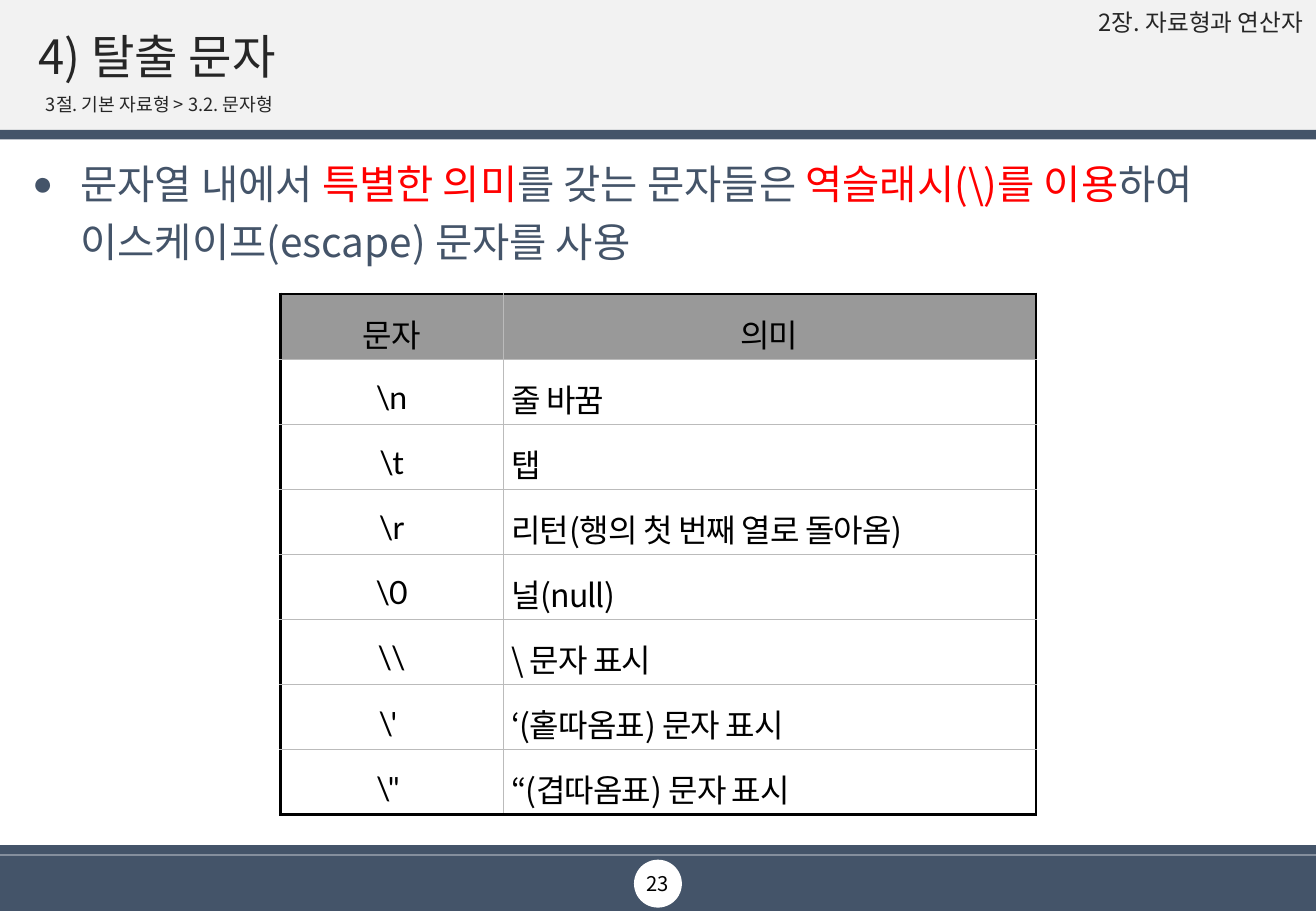
import pptx
import pptx.util
import pptx.dml.color
import pptx.enum.shapes
import pptx.enum.text
import pptx.oxml.ns
import lxml.etree

Pt = pptx.util.Pt
ALIGN = pptx.enum.text.PP_ALIGN
ANCHOR = pptx.enum.text.MSO_ANCHOR
SHAPE = pptx.enum.shapes.MSO_SHAPE

# Content
CHAPTER = "2장. 자료형과 연산자"
TITLE = "4) 탈출 문자"
SECTION = "3절. 기본 자료형 > 3.2. 문자형"
PAGE_NUMBER = "23"
SUMMARY = [
    ("문자열 내에서 ", "slate"),
    ("특별한 의미", "red"),
    ("를 갖는 문자들은 ", "slate"),
    ("역슬래시(\\)를 이용", "red"),
    ("하여 이스케이프(escape) 문자를 사용", "slate"),
]
ESCAPES = [
    ("문자", "의미"),
    ("\\n", "줄 바꿈"),
    ("\\t", "탭"),
    ("\\r", "리턴(행의 첫 번째 열로 돌아옴)"),
    ("\\0", "널(null)"),
    ("\\\\", "\\ 문자 표시"),
    ("\\' ", "‘(홑따옴표) 문자 표시"),
    ("\\\" ", "“(겹따옴표) 문자 표시"),
]

THEME = {
    "font": "Noto Sans CJK KR", "code_font": "Lato", "bullet_font": "Arial",
    "colors": {"slate": "445469", "red": "FF0000", "ink": "262626", "black": "000000",
               "white": "FFFFFF", "pale": "F2F2F2", "header": "999999", "rule": "BBBBBB"},
    "sizes": {"title": 28, "body": 24, "table": 19, "chapter": 14, "number": 12, "section": 10.8},
}

# Layout in points
WIDTH, HEIGHT = 780, 540
HEADER_HEIGHT, STRIP_HEIGHT = 77, 5.6
FOOTER_TOP, FOOTER_STRIP_TOP = 507, 501
DISC = 28.4
TABLE_LEFT, TABLE_TOP = 166.2, 174.2
COLUMN_WIDTHS, ROW_HEIGHT = (131.8, 316.1), 38.6
BULLET_INDENT = 28.4
BANDS = [
    (SHAPE.RECTANGLE, 0, 0, WIDTH, HEADER_HEIGHT, "pale"),
    (SHAPE.RECTANGLE, 0, FOOTER_TOP, WIDTH, HEIGHT - FOOTER_TOP, "slate"),
    (SHAPE.RECTANGLE, 0, FOOTER_STRIP_TOP, WIDTH, STRIP_HEIGHT, "slate"),
    (SHAPE.RECTANGLE, 0, HEADER_HEIGHT, WIDTH, STRIP_HEIGHT, "slate"),
    (SHAPE.OVAL, (WIDTH - DISC) / 2, 509.6, DISC, DISC, "white"),
]


def apply(target, values):
    for name, value in values.items():
        setattr(target, name, value)


def rgb(color):
    return pptx.dml.color.RGBColor.from_string(THEME["colors"][color])


def add_child(parent, tag, **attributes):
    return lxml.etree.SubElement(parent, pptx.oxml.ns.qn(tag), attributes)


def write(frame, runs, size, font=None, **para_format):
    """Fill the first paragraph with (text, color) runs."""
    font = font or THEME["font"]
    para = frame.paragraphs[0]
    apply(para, para_format)
    for text, color in runs:
        span = para.add_run()
        span.text = text
        apply(span.font, {"name": font, "size": Pt(THEME["sizes"][size]), "bold": False})
        span.font.color.rgb = rgb(color)
        add_child(span.font._element, "a:ea", typeface=font)
    return para


def set_frame(box, place, insets=(7.2, 3.6, 7.2, 3.6), anchor=ANCHOR.TOP):
    apply(box, dict(zip(("left", "top", "width", "height"), map(Pt, place))))
    sides = ("margin_left", "margin_top", "margin_right", "margin_bottom")
    apply(box.text_frame, dict(zip(sides, map(Pt, insets))))
    apply(box.text_frame, {"word_wrap": True, "vertical_anchor": anchor,
                           "auto_size": pptx.enum.text.MSO_AUTO_SIZE.NONE})
    return box.text_frame


def add_text(page, place, **frame_format):
    return set_frame(page.shapes.add_textbox(0, 0, 0, 0), place, **frame_format)


def add_bands(page):
    for kind, left, top, width, height, color in BANDS:
        band = page.shapes.add_shape(kind, Pt(left), Pt(top), Pt(width), Pt(height))
        band.shadow.inherit = False
        band.fill.solid()
        band.fill.fore_color.rgb = rgb(color)
        band.line.fill.background()


def add_summary(page):
    frame = add_text(page, (12.2, 85, 751.7, 80))
    para = write(frame, SUMMARY, "body", line_spacing=1.2)
    properties = para._p.get_or_add_pPr()
    properties.set("marL", str(Pt(BULLET_INDENT)))
    properties.set("indent", str(-Pt(BULLET_INDENT)))
    add_child(properties, "a:buSzPct", val="85000")
    add_child(properties, "a:buFont", typeface=THEME["bullet_font"])
    add_child(properties, "a:buChar", char="●")


def set_borders(cell, heavy_sides):
    properties = cell._tc.get_or_add_tcPr()
    for position, side in enumerate("LRTB"):
        color, width = ("black", 1.7) if side in heavy_sides else ("rule", 0.28)
        line = lxml.etree.Element(pptx.oxml.ns.qn("a:ln" + side), {"w": str(Pt(width))})
        add_child(add_child(line, "a:solidFill"), "a:srgbClr", val=THEME["colors"][color])
        properties.insert(position, line)


def add_escape_table(page):
    count = len(ESCAPES)
    table = page.shapes.add_table(count, 2, Pt(TABLE_LEFT), Pt(TABLE_TOP),
                                  Pt(sum(COLUMN_WIDTHS)), Pt(ROW_HEIGHT * count)).table
    apply(table, {"first_row": False, "horz_banding": False})
    for column, width in zip(table.columns, COLUMN_WIDTHS):
        column.width = Pt(width)
    for row, texts in enumerate(ESCAPES):
        table.rows[row].height = Pt(ROW_HEIGHT)
        for column, text in enumerate(texts):
            cell = table.cell(row, column)
            apply(cell, {"margin_left": Pt(5), "margin_right": Pt(5), "margin_top": Pt(1.4),
                         "margin_bottom": Pt(1.4), "vertical_anchor": ANCHOR.MIDDLE})
            cell.fill.solid()
            cell.fill.fore_color.rgb = rgb("white" if row else "header")
            centered = row == 0 or column == 0
            para = write(cell.text_frame, [(text, "black")], "table",
                         font=THEME["code_font"] if row and column == 0 else None,
                         alignment=ALIGN.CENTER if centered else ALIGN.JUSTIFY,
                         line_spacing=1.3)
            para.runs[0].font._element.set("spc", "-50")
            heavy = "LR"[column] + ("T" if row == 0 else "B" if row == count - 1 else "")
            set_borders(cell, heavy)


def main():
    deck = pptx.Presentation()
    apply(deck, {"slide_width": Pt(WIDTH), "slide_height": Pt(HEIGHT)})
    page = deck.slides.add_slide(deck.slide_layouts[5])

    # Header and footer
    add_bands(page)
    chapter = add_text(page, (643, 3.6, 132.4, 40), insets=(2.9, 2.9, 2.9, 2.9))
    write(chapter, [(CHAPTER, "ink")], "chapter", alignment=ALIGN.RIGHT, line_spacing=0.9)

    # Title, raised above the header band
    title = page.shapes.title
    title.element.getparent().append(title.element)
    frame = set_frame(title, (15.8, 15.1, 748, 39.6), anchor=ANCHOR.MIDDLE)
    write(frame, [(TITLE, "ink")], "title", alignment=ALIGN.LEFT, line_spacing=0.9)

    # Summary, page number and section path
    add_summary(page)
    number = add_text(page, (302.2, 509.6, 175.6, DISC), anchor=ANCHOR.MIDDLE)
    write(number, [(PAGE_NUMBER, "black")], "number", alignment=ALIGN.CENTER)
    section = add_text(page, (21.4, 54.7, 743, 17.3), insets=(5.8, 3.6, 7.2, 3.6),
                       anchor=ANCHOR.MIDDLE)
    write(section, [(SECTION, "ink")], "section", line_spacing=0.7)

    # Escape characters
    add_escape_table(page)
    deck.save("out.pptx")


if __name__ == "__main__":
    main()
